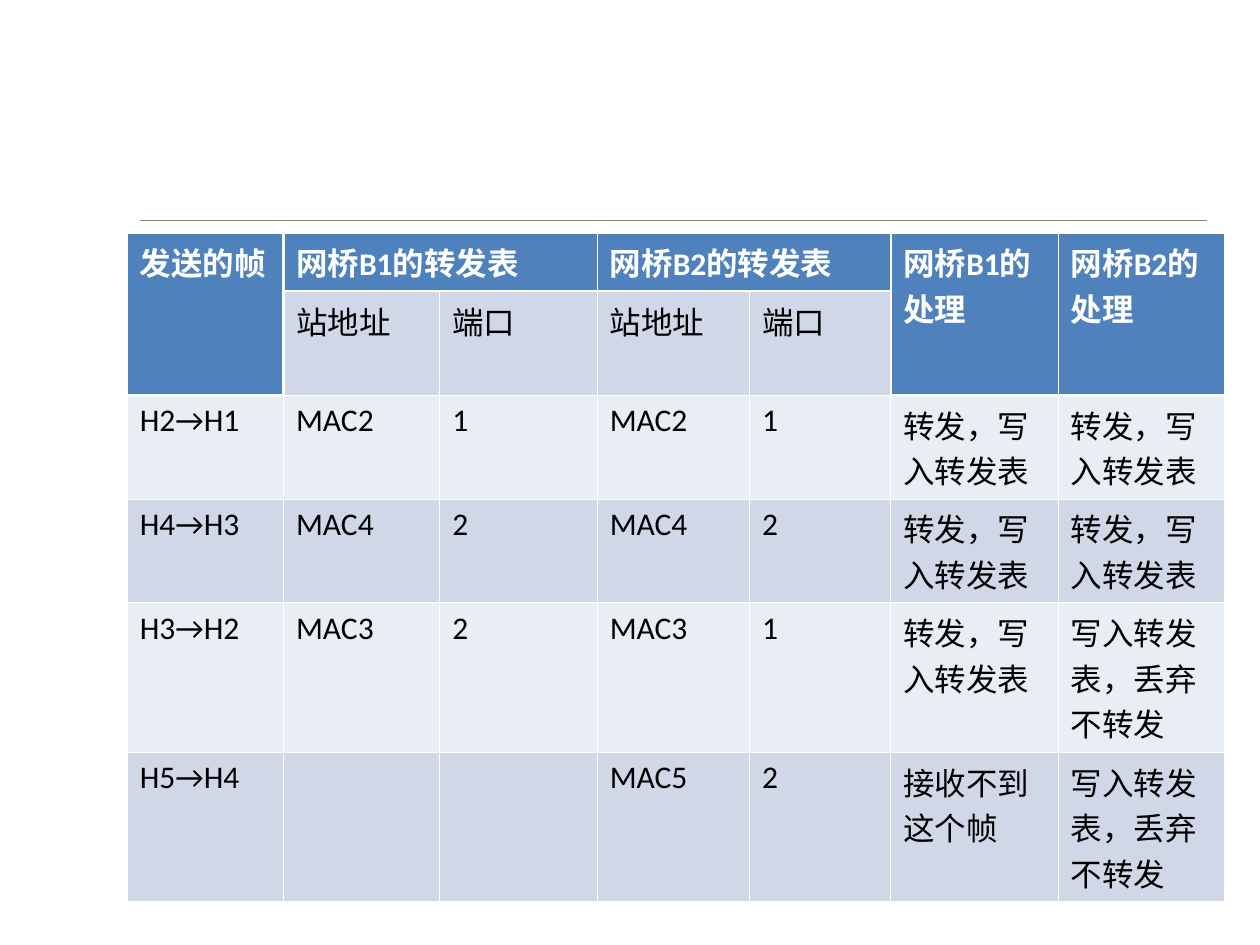
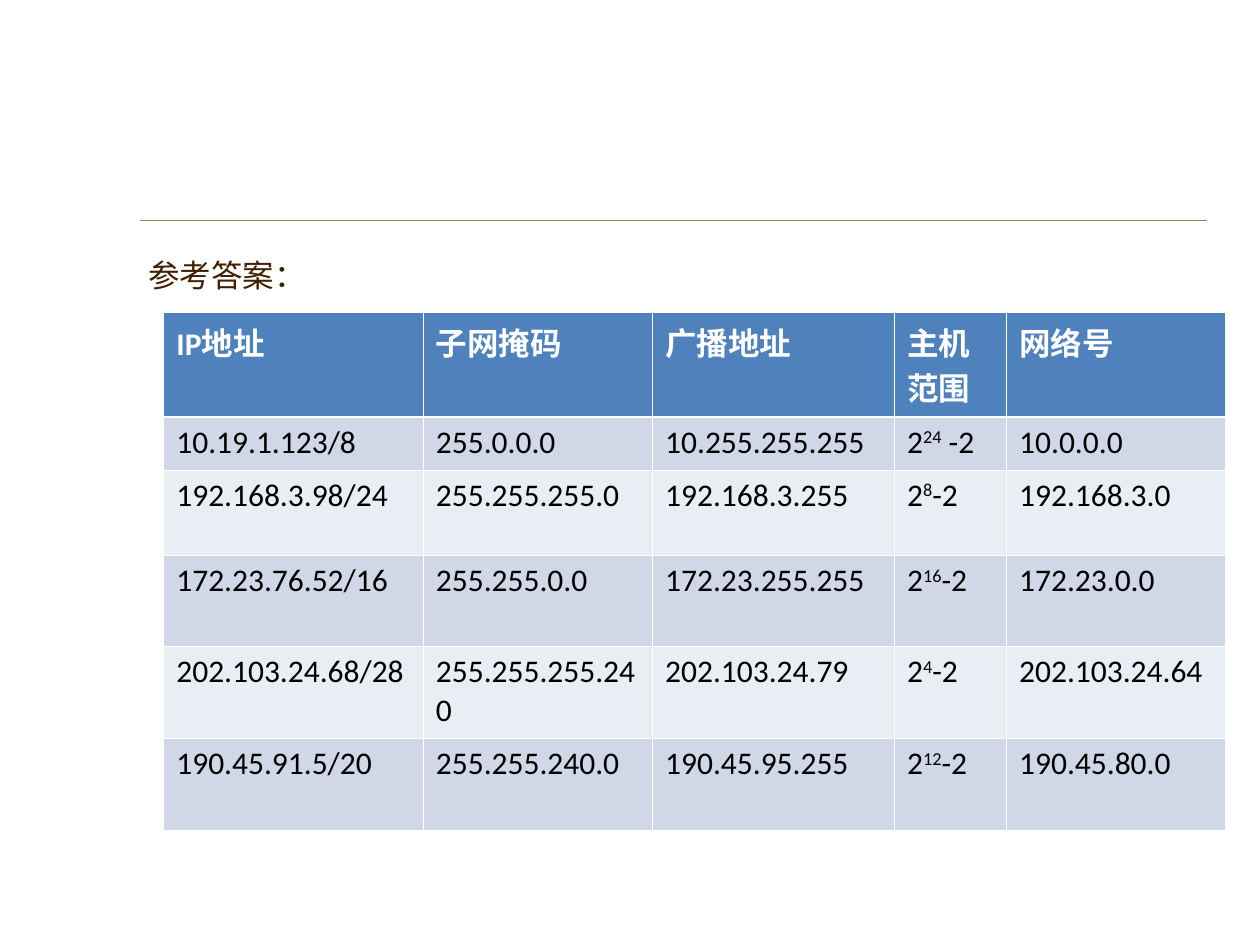
from dataclasses import dataclass

from lxml.etree import SubElement
from pptx import Presentation
from pptx.dml.color import RGBColor
from pptx.enum.lang import MSO_LANGUAGE_ID as Lang
from pptx.enum.shapes import MSO_CONNECTOR as Connector
from pptx.oxml.ns import qn
from pptx.slide import Slide
from pptx.table import Table, _Cell as Cell
from pptx.text.text import _Paragraph as Paragraph
from pptx.util import Inches, Pt

COLORS = {
    "rule": "A08366",
    "answer": "402000",
    "header": "4F81BD",
    "header_text": "FFFFFF",
    "body_text": "000000",
    "odd_row": "D0D8E8",
    "even_row": "E9EDF4",
    "border": "FFFFFF",
}
THIN, THICK = Pt(0.45), Pt(1.47)
BASE_FORMAT = {"size": Pt(18), "language_id": Lang.SIMPLIFIED_CHINESE}
HEADER_FORMAT = BASE_FORMAT | {"name": "Calibri", "bold": True}
BODY_FORMAT = BASE_FORMAT | {"name": "Calibri", "bold": False}
ANSWER_FORMAT = BASE_FORMAT | {"name": "Arial", "bold": False}


@dataclass(frozen=True)
class Merge:
    top: int
    left: int
    bottom: int
    right: int


@dataclass(frozen=True)
class Grid:
    left: float
    top: float
    height: float
    columns: list[float]
    rows: list[float]
    texts: list[list[str]]
    merges: tuple[Merge, ...] = ()
    side_headers: tuple[int, ...] = ()  # columns whose header covers two rows

    def is_header(self, row: int, column: int) -> bool:
        return row == 0 or (row == 1 and column in self.side_headers)


FORWARDING = Grid(
    left=1.01, top=1.85, height=4.66,
    columns=[1.24, 1.24, 1.25, 1.21, 1.12, 1.33, 1.32],
    rows=[0.4, 0.7, 0.7, 0.7, 1, 1],
    texts=[
        ["发送的帧", "网桥B1的转发表", "", "网桥B2的转发表", "", "网桥B1的处理", "网桥B2的处理"],
        ["", "站地址", "端口", "站地址", "端口", "", ""],
        ["H2→H1", "MAC2", "1", "MAC2", "1", "转发，写入转发表", "转发，写入转发表"],
        ["H4→H3", "MAC4", "2", "MAC4", "2", "转发，写入转发表", "转发，写入转发表"],
        ["H3→H2", "MAC3", "2", "MAC3", "1", "转发，写入转发表", "写入转发表，丢弃不转发"],
        ["H5→H4", "", "", "MAC5", "2", "接收不到这个帧", "写入转发表，丢弃不转发"],
    ],
    merges=(
        *(Merge(0, column, 1, column) for column in (0, 5, 6)),
        *(Merge(0, column, 0, column + 1) for column in (1, 3)),
    ),
    side_headers=(0, 5, 6),
)

# Text between carets is superscript.
ADDRESSES = Grid(
    left=1.3, top=2.48, height=4.11,
    columns=[2.06, 1.82, 1.92, 0.89, 1.74],
    rows=[0.83, 0.42, 0.68, 0.72, 0.73, 0.73],
    texts=[
        ["IP地址", "子网掩码", "广播地址", "主机范围", "网络号"],
        ["10.19.1.123/8", "255.0.0.0", "10.255.255.255", "2^24^ -2", "10.0.0.0"],
        ["192.168.3.98/24", "255.255.255.0", "192.168.3.255", "2^8^-2", "192.168.3.0"],
        ["172.23.76.52/16", "255.255.0.0", "172.23.255.255", "2^16^-2", "172.23.0.0"],
        ["202.103.24.68/28", "255.255.255.240", "202.103.24.79", "2^4^-2", "202.103.24.64"],
        ["190.45.91.5/20", "255.255.240.0", "190.45.95.255", "2^12^-2", "190.45.80.0"],
    ],
)


def rgb(key: str) -> RGBColor:
    return RGBColor.from_string(COLORS[key])


def write(paragraph: Paragraph, text: str, text_format: dict, color: str) -> None:
    """Add the text as runs, raising the parts between carets."""
    for index, part in enumerate(text.split("^")):
        if not part:
            continue
        run = paragraph.add_run()
        run.text = part
        for attribute, value in text_format.items():
            setattr(run.font, attribute, value)
        run.font.color.rgb = rgb(color)
        if index % 2:
            run.font._element.set("baseline", "30000")


def add_borders(cell: Cell, grid: Grid, row: int, column: int) -> None:
    """Draw a thick edge where header meets body, a thin one elsewhere."""
    last_row = row + cell.span_height - 1
    neighbours = {
        "a:lnL": (last_row, column - 1),
        "a:lnR": (last_row, column + cell.span_width),
        "a:lnT": (row - 1, column),
        "a:lnB": (last_row + 1, column),
    }
    own = grid.is_header(row, column)
    properties = cell._tc.get_or_add_tcPr()
    for tag, (next_row, next_column) in neighbours.items():
        inside = next_row >= 0 and 0 <= next_column < len(grid.columns)
        meets_other = inside and grid.is_header(next_row, next_column) != own
        width = THICK if meets_other else THIN
        line = SubElement(properties, qn(tag), w=str(int(width)))
        fill = SubElement(line, qn("a:solidFill"))
        SubElement(fill, qn("a:srgbClr"), val=COLORS["border"])


def fill_cells(table: Table, grid: Grid) -> None:
    for row, texts in enumerate(grid.texts):
        for column, text in enumerate(texts):
            cell = table.cell(row, column)
            header = grid.is_header(row, column)
            add_borders(cell, grid, row, column)
            cell.fill.solid()
            band = "odd_row" if row % 2 else "even_row"
            cell.fill.fore_color.rgb = rgb("header" if header else band)
            write(
                cell.text_frame.paragraphs[0], text,
                HEADER_FORMAT if header else BODY_FORMAT,
                "header_text" if header else "body_text",
            )


def add_grid(slide: Slide, grid: Grid) -> None:
    frame = slide.shapes.add_table(
        len(grid.rows), len(grid.columns), Inches(grid.left), Inches(grid.top),
        Inches(sum(grid.columns)), Inches(grid.height),
    )
    table = frame.table
    table.first_row = table.horz_banding = False
    for column, width in zip(table.columns, grid.columns):
        column.width = Inches(width)
    for row, height in zip(table.rows, grid.rows):
        row.height = Inches(height)
    for merge in grid.merges:
        table.cell(merge.top, merge.left).merge(table.cell(merge.bottom, merge.right))
    fill_cells(table, grid)


def add_ruled_slide(deck: Presentation) -> Slide:
    """Add a blank slide with the thin rule under the title area."""
    slide = deck.slides.add_slide(deck.slide_layouts[6])
    rule = slide.shapes.add_connector(
        Connector.STRAIGHT, Inches(1.11), Inches(1.75), Inches(9.58), Inches(1.75)
    )
    rule.line.color.rgb = rgb("rule")
    rule.line.width = Pt(0.25)
    SubElement(rule._element.spPr, qn("a:effectLst"))
    return slide


def add_answer_label(slide: Slide) -> None:
    label = slide.shapes.add_textbox(Inches(1.08), Inches(1.98), Inches(4.18), Inches(0.41))
    label.text_frame.word_wrap = True
    write(label.text_frame.paragraphs[0], "参考答案：", ANSWER_FORMAT, "answer")


def main() -> None:
    deck = Presentation()
    deck.slide_width, deck.slide_height = Inches(10), Inches(7.5)

    add_grid(add_ruled_slide(deck), FORWARDING)

    address_slide = add_ruled_slide(deck)
    add_answer_label(address_slide)
    add_grid(address_slide, ADDRESSES)

    deck.save("out.pptx")


if __name__ == "__main__":
    main()
